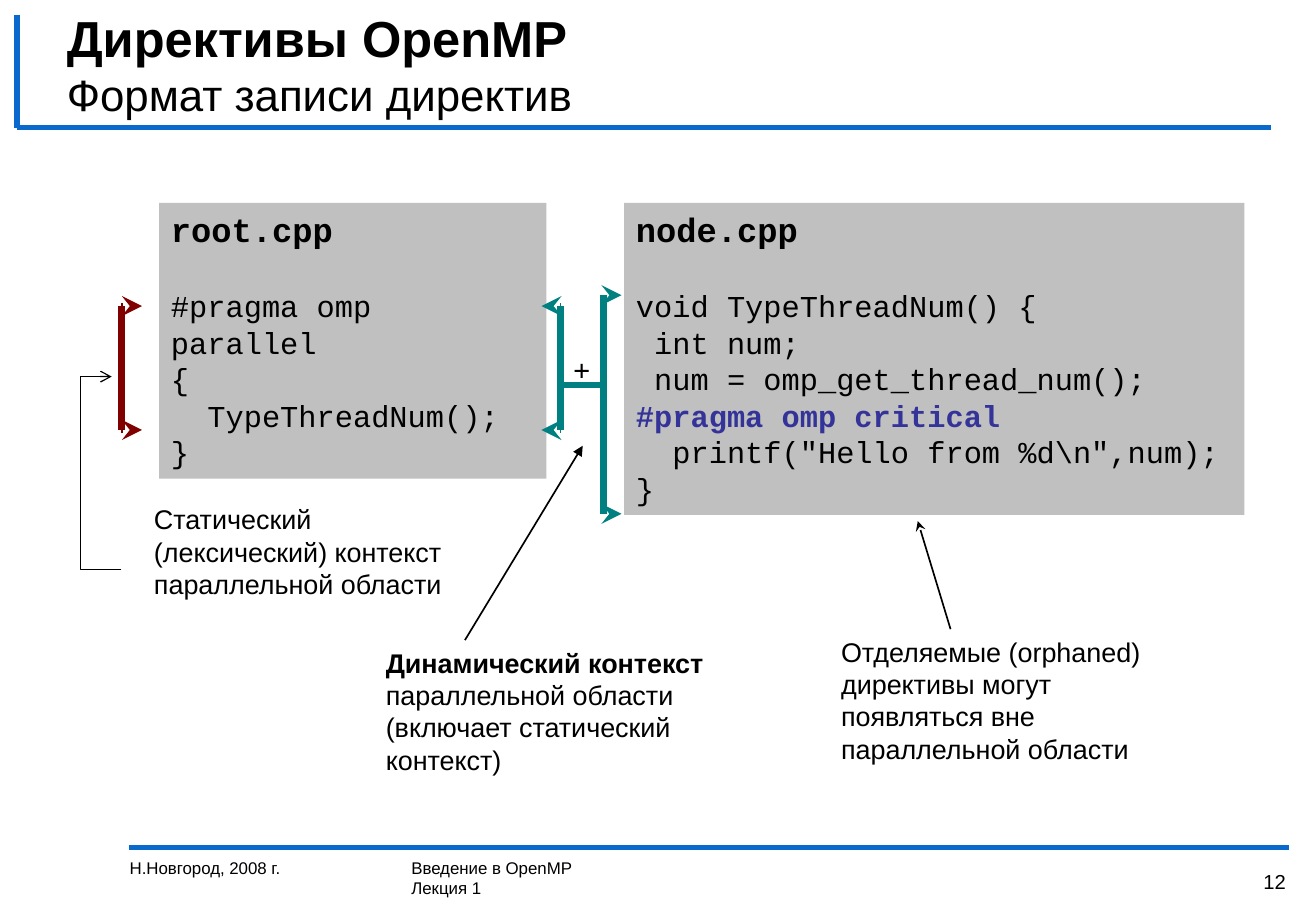
from lxml.etree import SubElement
from pptx import Presentation
from pptx.dml.color import RGBColor
from pptx.enum.shapes import MSO_CONNECTOR, MSO_SHAPE
from pptx.enum.text import MSO_ANCHOR, MSO_AUTO_SIZE, PP_ALIGN
from pptx.oxml.ns import qn
from pptx.util import Emu, Pt

PX = 9144  # 100 px to the inch
BLUE, MAROON, TEAL = "0969CD", "800000", "008080"
BLACK, GREY, INDIGO = "000000", "C0C0C0", "333399"

ROOT_CODE = ["#pragma omp parallel", "{", "  TypeThreadNum();", "}"]
NODE_CODE = [
    "void TypeThreadNum() {",
    " int num;",
    " num = omp_get_thread_num();",
    "#pragma omp critical",
    '  printf("Hello from %d\\n",num);',
    "}",
]


def px(*lengths):
    return [Emu(length * PX) for length in lengths]


def color(hex_text):
    return RGBColor.from_string(hex_text)


def style(font, size, name="Arial", bold=False, fill=BLACK):
    font.size, font.name, font.bold = Pt(size), name, bold
    font.color.rgb = color(fill)


def add_line(slide, start, end, fill, width, arrow=None, kind=MSO_CONNECTOR.STRAIGHT):
    line = slide.shapes.add_connector(kind, *px(*start, *end))
    line.line.color.rgb = color(fill)
    line.line.width = Pt(width)
    if arrow:
        SubElement(line.line._get_or_add_ln(), qn("a:tailEnd"), type=arrow)
    SubElement(line._element.spPr, qn("a:effectLst"))
    return line


def add_text(slide, box, lines, size, align=PP_ALIGN.LEFT):
    """Add a wrapping text box with one paragraph per line; return its frame."""
    frame = slide.shapes.add_textbox(*px(*box)).text_frame
    frame.word_wrap = True
    frame.text = "\n".join(lines)
    for para in frame.paragraphs:
        para.alignment = align
        style(para.font, size)
    return frame


def add_header(slide, box):
    left, top, width, height = box
    corner = (left, top + height)
    add_line(slide, corner, (left + width, top + height), BLUE, 3)
    add_line(slide, (left, top), corner, BLUE, 3)
    title = slide.shapes.title
    title.left, title.top, title.width, title.height = px(left + 31, top + 10, 993, 61)
    frame = title.text_frame
    frame.auto_size = MSO_AUTO_SIZE.NONE
    frame.vertical_anchor = MSO_ANCHOR.MIDDLE
    para = frame.paragraphs[0]
    para.alignment = PP_ALIGN.LEFT
    heading = para.add_run()
    heading.text = "Директивы OpenMP"
    style(heading.font, 30, bold=True)
    para.add_line_break()
    subheading = para.add_run()
    subheading.text = "Формат записи директив"
    style(subheading.font, 26)


def add_footer(slide, box):
    left, top, width, height = box
    add_line(slide, (left + 9, top - 3), (left + 965, top - 3), BLUE, 3)
    add_text(slide, (left, top, 224, height), ["Н.Новгород, 2008 г."], 10)
    add_text(slide, (left + 232, top, 630, height), ["Введение в OpenMP", "Лекция 1"], 10)
    number = add_text(slide, (left + width - 102, top, 102, height), ["12"], 12, PP_ALIGN.RIGHT)
    number.paragraphs[0].line_spacing = 1.5


def add_code(slide, box, file_name, code):
    panel = slide.shapes.add_shape(MSO_SHAPE.RECTANGLE, *px(*box))
    panel.shadow.inherit = False
    panel.fill.solid()
    panel.fill.fore_color.rgb = color(GREY)
    panel.line.fill.background()
    frame = panel.text_frame
    frame.word_wrap = True
    frame.vertical_anchor = MSO_ANCHOR.TOP
    frame.text = "\n".join([file_name, *code])
    for para in frame.paragraphs:
        critical = para.text == "#pragma omp critical"
        para.alignment = PP_ALIGN.LEFT
        style(para.font, 18, "Courier New", critical, INDIGO if critical else BLACK)
    heading = frame.paragraphs[0]
    heading.space_after = Pt(22.65)
    style(heading.font, 20, "Courier New", True)


def add_bracket(slide, spine, tip, top, bottom, fill):
    """Draw a vertical spine with an arrow from each end to the tip's x."""
    add_line(slide, (spine, top), (spine, bottom), fill, 4)
    for level in (top, bottom):
        add_line(slide, (spine, level), (tip, level), fill, 4, "stealth")


def add_contexts(slide):
    add_bracket(slide, 100, 117, 252, 354, MAROON)
    add_bracket(slide, 497, 512, 243, 423, TEAL)
    add_bracket(slide, 462, 446, 252, 354, TEAL)
    add_line(slide, (463, 317), (496, 317), TEAL, 4)
    plus = add_text(slide, (462, 284, 34, 40), ["+"], 18, PP_ALIGN.CENTER)
    plus.word_wrap = False
    plus.vertical_anchor = MSO_ANCHOR.MIDDLE
    sign = plus.paragraphs[0].font
    style(sign, 18, "Times New Roman", True)
    sign.italic = True


def add_notes(slide):
    add_text(slide, (683, 518, 308, 117),
             ["Отделяемые (orphaned) директивы могут появляться вне параллельной области"], 16)
    add_line(slide, (783, 518), (756, 429), BLACK, 1, "stealth")

    dynamic = add_text(slide, (308, 527, 283, 117), ["Динамический контекст "], 16).paragraphs[0]
    dynamic.runs[0].font.bold = True
    dynamic.add_run().text = "параллельной области (включает статический контекст)"
    add_line(slide, (383, 527), (480, 367), BLACK, 1, "triangle")

    add_text(slide, (117, 409, 275, 90),
             ["Статический (лексический) контекст параллельной области"], 16)
    elbow = add_line(slide, (92, 310), (100, 469), BLACK, 0.75, "arrow", MSO_CONNECTOR.ELBOW)
    properties = elbow._element.spPr
    properties.find(qn("a:xfrm")).set("rot", "10800000")
    adjustments = properties.find(qn("a:prstGeom")).get_or_add_avLst()
    SubElement(adjustments, qn("a:gd"), name="adj1", fmla="val 425000")


def main():
    deck = Presentation()
    deck.slide_width, deck.slide_height = px(1084, 750)
    slide = deck.slides.add_slide(deck.slide_layouts[5])
    add_header(slide, (14, 12, 1033, 93))
    add_footer(slide, (97, 701, 972, 49))
    add_code(slide, (131, 167, 319, 227), "root.cpp", ROOT_CODE)
    add_code(slide, (514, 167, 511, 257), "node.cpp", NODE_CODE)
    add_contexts(slide)
    add_notes(slide)
    deck.save("out.pptx")


if __name__ == "__main__":
    main()
